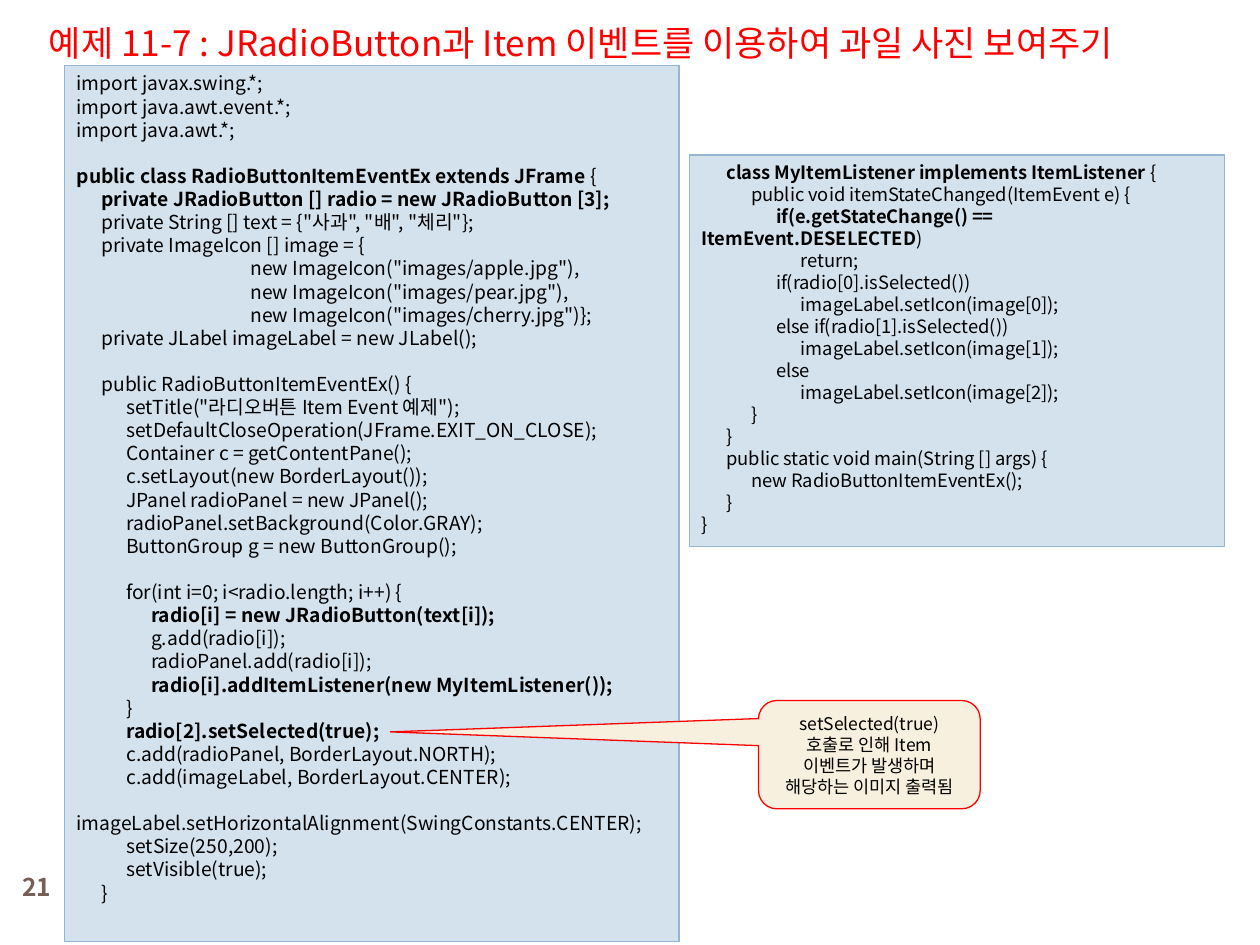
"""Build the radio button item event example slide."""
from lxml import etree
from pptx import Presentation, util as u
from pptx.dml.color import RGBColor
from pptx.enum import shapes, text
from pptx.oxml.ns import qn

FONT = "Noto Sans CJK KR"
TAB = 0.5 / 2.54
HUES = {"ink": "000000", "red": "FF0000", "brown": "775F55",
        "blue": "D4E2ED", "edge": "94B6D2", "cream": "F7F0DE"}
TITLE = "예제 11-7 : JRadioButton과 Item 이벤트를 이용하여 과일 사진 보여주기"
NOTE = "setSelected(true) 호출로 인해 Item 이벤트가 발생하며 해당하는 이미지 출력됨"

# Each line of code: tabs, bold part, plain part
MAIN = [
    (0, "", "import javax.swing.*;"),
    (0, "", "import java.awt.event.*;"),
    (0, "", "import java.awt.*;"),
    (0, "", ""),
    (0, "public class RadioButtonItemEventEx extends JFrame ", "{"),
    (1, "private JRadioButton [] radio = new JRadioButton [3];", ""),
    (1, "", 'private String [] text = {"사과", "배", "체리"};'),
    (1, "", "private ImageIcon [] image = {"),
    (7, "", 'new ImageIcon("images/apple.jpg"),'),
    (7, "", 'new ImageIcon("images/pear.jpg"),'),
    (7, "", 'new ImageIcon("images/cherry.jpg")};'),
    (1, "", "private JLabel imageLabel = new JLabel();"),
    (0, "", ""),
    (1, "", "public RadioButtonItemEventEx() {"),
    (2, "", 'setTitle("라디오버튼 Item Event 예제");'),
    (2, "", "setDefaultCloseOperation(JFrame.EXIT_ON_CLOSE);"),
    (2, "", "Container c = getContentPane();"),
    (2, "", "c.setLayout(new BorderLayout());"),
    (2, "", "JPanel radioPanel = new JPanel();"),
    (2, "", "radioPanel.setBackground(Color.GRAY);"),
    (2, "", "ButtonGroup g = new ButtonGroup();"),
    (0, "", ""),
    (2, "", "for(int i=0; i<radio.length; i++) {"),
    (3, "radio[i] = new JRadioButton(text[i]);", ""),
    (3, "", "g.add(radio[i]);"),
    (3, "", "radioPanel.add(radio[i]);"),
    (3, "radio[i].addItemListener(new MyItemListener());", ""),
    (2, "", "}"),
    (2, "radio[2].setSelected(true);", ""),
    (2, "", "c.add(radioPanel, BorderLayout.NORTH);"),
    (2, "", "c.add(imageLabel, BorderLayout.CENTER);"),
    (2, "", "imageLabel.setHorizontalAlignment(SwingConstants.CENTER);"),
    (2, "", "setSize(250,200);"),
    (2, "", "setVisible(true);"),
    (1, "", "}"),
]
EVENT = [
    (1, "class MyItemListener implements ItemListener ", "{"),
    (2, "", "public void itemStateChanged(ItemEvent e) {"),
    (3, "if(e.getStateChange() == ItemEvent.DESELECTED", ")"),
    (4, "", "return;"),
    (3, "", "if(radio[0].isSelected())"),
    (4, "", "imageLabel.setIcon(image[0]);"),
    (3, "", "else if(radio[1].isSelected())"),
    (4, "", "imageLabel.setIcon(image[1]);"),
    (3, "", "else"),
    (4, "", "imageLabel.setIcon(image[2]);"),
    (2, "", "}"),
    (1, "", "}"),
    (1, "", "public static void main(String [] args) {"),
    (2, "", "new RadioButtonItemEventEx();"),
    (1, "", "}"),
    (0, "", "}"),
]
PANELS = [((5.47, 1.23, 4.25, 3.11), 10.5, EVENT),
          ((0.51, 0.52, 4.88, 6.95), 11, MAIN)]


def rgb(hue):
    return RGBColor.from_string(HUES[hue])


def add_run(para, words, size, hue="ink", bold=False):
    run = para.add_run()
    run.text = words
    font = run.font
    font.size, font.bold, font.name = u.Pt(size), bold, FONT
    font.color.rgb = rgb(hue)
    east = etree.SubElement(run._r.get_or_add_rPr(), qn("a:ea"))
    east.set("typeface", FONT)


def add_label(slide, at, words, size, hue, align, bold=False):
    frame = slide.shapes.add_textbox(*map(u.Inches, at)).text_frame
    frame.word_wrap = True
    frame.vertical_anchor = text.MSO_ANCHOR.MIDDLE
    frame.paragraphs[0].alignment = align
    add_run(frame.paragraphs[0], words, size, hue, bold)


def add_box(slide, kind, at, fill, line, anchor):
    box = slide.shapes.add_shape(kind, *map(u.Inches, at))
    box.shadow.inherit = False
    box.fill.solid()
    box.fill.fore_color.rgb = rgb(fill)
    box.line.color.rgb = rgb(line)
    box.line.width = u.Pt(0.75)
    box.text_frame.word_wrap = True
    box.text_frame.vertical_anchor = anchor
    return box


def add_code(frame, lines, size):
    for i, (tabs, strong, plain) in enumerate(lines):
        para = frame.add_paragraph() if i else frame.paragraphs[0]
        para.alignment = text.PP_ALIGN.LEFT
        stops = etree.SubElement(para._p.get_or_add_pPr(), qn("a:tabLst"))
        for n in range(1, tabs + 1):
            etree.SubElement(stops, qn("a:tab"),
                             pos=str(u.Inches(n * TAB)), algn="l")
        for words, bold in (("\t" * tabs, False), (strong, True), (plain, False)):
            if words:
                add_run(para, words, size, bold=bold)
        if not strong + plain:
            etree.SubElement(para._p, qn("a:endParaRPr"), sz=str(int(size * 100)))


def main():
    deck = Presentation()
    deck.slide_width, deck.slide_height = u.Inches(10), u.Inches(7.5)
    slide = deck.slides.add_slide(deck.slide_layouts[6])
    mid = text.PP_ALIGN.CENTER
    add_label(slide, (0, 6.83, 0.58, 0.42), "21", 14, "brown", mid, True)
    add_label(slide, (0.29, -0.03, 9.65, 0.74), TITLE, 20, "red",
              text.PP_ALIGN.LEFT)
    for at, size, lines in PANELS:
        box = add_box(slide, shapes.MSO_SHAPE.RECTANGLE, at, "blue", "edge",
                      text.MSO_ANCHOR.TOP)
        add_code(box.text_frame, lines, size)
    note = add_box(slide, shapes.MSO_SHAPE.ROUNDED_RECTANGULAR_CALLOUT,
                   (6.02, 5.56, 1.76, 0.86), "cream", "red",
                   text.MSO_ANCHOR.MIDDLE)
    for i, value in enumerate((-2.16, -0.21, 0.17)):
        note.adjustments[i] = value
    para = note.text_frame.paragraphs[0]
    para.alignment = mid
    add_run(para, NOTE, 10)
    deck.save("out.pptx")


if __name__ == "__main__":
    main()
